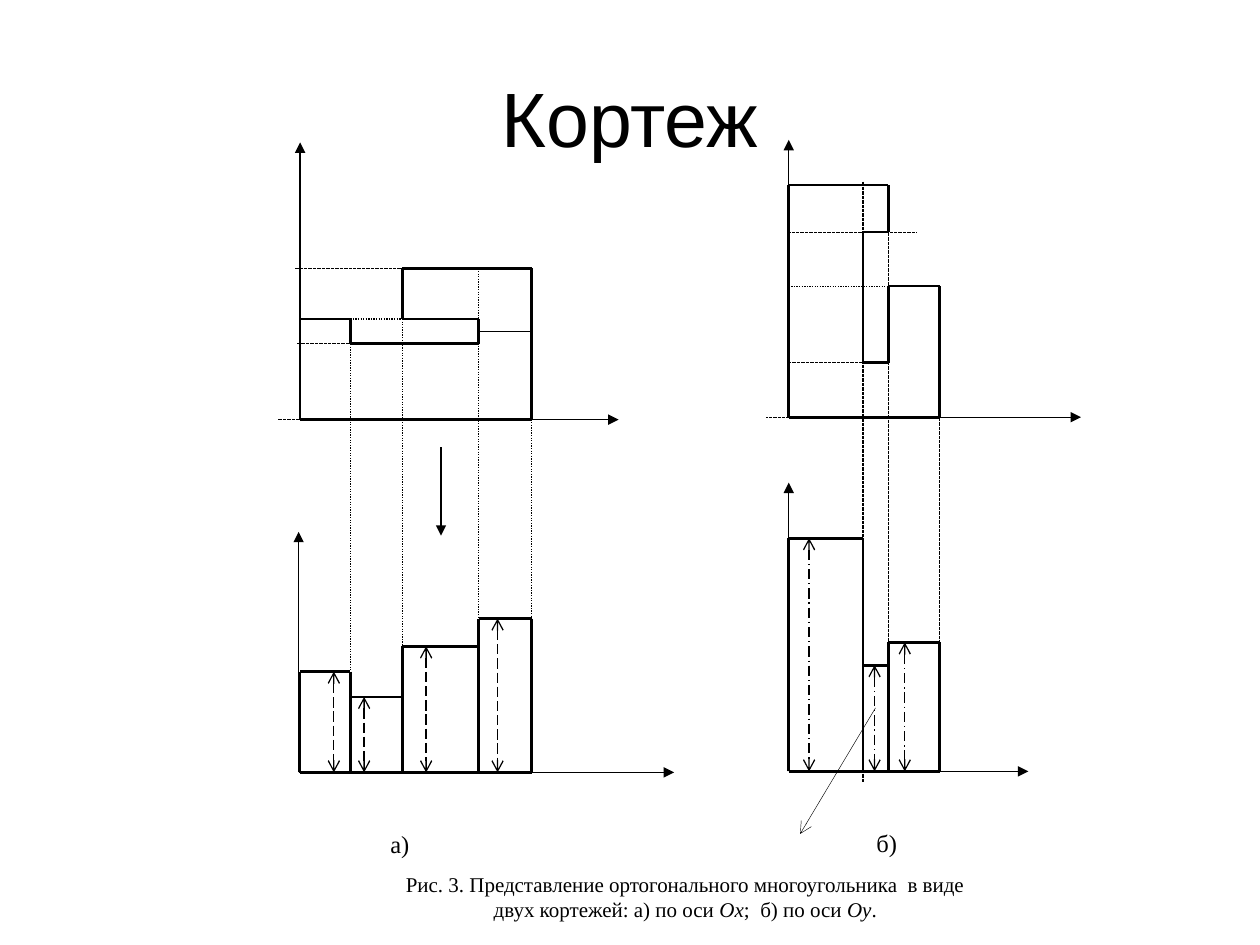
from itertools import pairwise

from lxml import etree
from pptx import Presentation
from pptx.dml.color import RGBColor
from pptx.enum.dml import MSO_LINE
from pptx.enum.shapes import MSO_CONNECTOR
from pptx.enum.text import MSO_ANCHOR, PP_ALIGN
from pptx.oxml.ns import qn
from pptx.util import Cm, Pt

STRAIGHT = MSO_CONNECTOR.STRAIGHT
DOTTED, DASHED, DASH_DOT = MSO_LINE.ROUND_DOT, MSO_LINE.LONG_DASH, MSO_LINE.LONG_DASH_DOT
MIDDLE, LEFT, CENTER = MSO_ANCHOR.MIDDLE, PP_ALIGN.LEFT, PP_ALIGN.CENTER
FINE = "fine dots"
BLACK = "000000"
SERIF = "Times New Roman"
THIN, BOLD = 0.75, 1.5

# Column edges and base lines of the two panels, in centimetres
LEFT_EDGES = [6.05, 7.06, 8.11, 9.65, 10.72]
LEFT_TOPS = [13.54, 14.05, 13.03, 12.47]
LEFT_BASE, LEFT_BAR_BASE = 8.46, 15.57
RIGHT_EDGES = [15.9, 17.4, 17.91, 18.94]
RIGHT_TOPS = [10.85, 13.41, 12.95]
RIGHT_BASE, RIGHT_BAR_BASE = 8.41, 15.55


def color(value):
    return RGBColor.from_string(value)


def add_line(page, start, end, width=THIN, dash=None, head=None, tail=None):
    line = page.shapes.add_connector(
        STRAIGHT, Cm(start[0]), Cm(start[1]), Cm(end[0]), Cm(end[1]))
    line.line.width = Pt(width)
    line.line.color.rgb = color(BLACK)
    properties = line.line._get_or_add_ln()
    if dash == FINE:
        pattern = etree.SubElement(properties, qn("a:custDash"))
        etree.SubElement(pattern, qn("a:ds"), d="50000", sp="50000")
    elif dash is not None:
        line.line.dash_style = dash
    for tag, kind in (("a:headEnd", head), ("a:tailEnd", tail)):
        if kind:
            etree.SubElement(properties, qn(tag), type=kind)
    etree.SubElement(line._element.spPr, qn("a:effectLst"))


def add_outline(page, points):
    for start, end in pairwise(points):
        add_line(page, start, end, BOLD)


def add_axes(page, origin, right, top):
    add_line(page, origin, (right, origin[1]), tail="triangle")
    add_line(page, origin, (origin[0], top), tail="triangle")


def add_bars(page, edges, tops, base, arrows, dash):
    """Draw adjoining bars, each with a double-headed height arrow."""
    add_line(page, (edges[0], base), (edges[-1], base), BOLD)
    for (left, right), top, arrow in zip(pairwise(edges), tops, arrows):
        add_outline(page, [(left, base), (left, top), (right, top), (right, base)])
        add_line(page, (arrow, top), (arrow, base), dash=dash, head="arrow", tail="arrow")


def add_text(page, box_at, paragraphs, size, align=LEFT):
    """Each paragraph is a list of (text, italic) pairs."""
    box = page.shapes.add_textbox(*map(Cm, box_at))
    frame = box.text_frame
    frame.word_wrap = True
    for index, spans in enumerate(paragraphs):
        para = frame.paragraphs[0] if index == 0 else frame.add_paragraph()
        para.alignment = align
        para.font.name = SERIF
        para.font.size = Pt(size)
        para.font.color.rgb = color(BLACK)
        for text, italic in spans:
            span = para.add_run()
            span.text = text
            if italic:
                span.font.italic = True


def set_title(page, text):
    title = page.shapes.title
    title.left, title.top, title.width, title.height = map(Cm, (1.27, 0.76, 22.86, 3.18))
    title.text_frame.text = text
    title.text_frame.vertical_anchor = MIDDLE
    para = title.text_frame.paragraphs[0]
    para.alignment = CENTER
    para.font.name = "Arial"
    para.font.size = Pt(44)
    para.font.color.rgb = color(BLACK)


def draw_left_panel(page):
    x0, x1, x2, x3, x4 = LEFT_EDGES
    upper, step, notch = 5.41, 6.43, 6.93
    for x, top, bottom in ((x1, 6.99, LEFT_TOPS[0]), (x2, 6.43, LEFT_TOPS[2]),
                           (x3, upper, LEFT_TOPS[3]), (x4, 8.51, LEFT_TOPS[3])):
        add_line(page, (x, top), (x, bottom), dash=DOTTED)
    add_line(page, (x1, step), (x2, step), dash=DOTTED)
    for right, left, y in ((x2, 5.94, upper), (x1, 5.97, notch), (x0, 5.59, LEFT_BASE)):
        add_line(page, (right, y), (left, y), dash=FINE)
    add_line(page, (x3, 6.68), (x4, 6.68))
    add_axes(page, (x0, LEFT_BASE), 12.47, 2.87)
    add_outline(page, [(x0, LEFT_BASE), (x0, step), (x1, step), (x1, notch), (x3, notch),
                       (x3, step), (x2, step), (x2, upper), (x4, upper),
                       (x4, LEFT_BASE), (x0, LEFT_BASE)])
    add_line(page, (8.89, 9.02), (8.89, 10.8), tail="triangle")
    add_axes(page, (6.02, LEFT_BAR_BASE), 13.59, 10.72)
    add_bars(page, LEFT_EDGES, LEFT_TOPS, LEFT_BAR_BASE, [6.73, 7.34, 8.59, 10.03], DASHED)
    add_text(page, (7.62, 16.59, 1.27, 1.02), [[("а)", False)]], 14)


def draw_right_panel(page):
    x0, x1, x2, x3 = RIGHT_EDGES
    upper, slot_top, step, slot_bottom = 3.73, 4.68, 5.77, 7.31
    for x, top, bottom in ((x1, 3.66, 15.77), (x2, upper, RIGHT_TOPS[1]),
                           (x3, step, RIGHT_TOPS[2])):
        add_line(page, (x, top), (x, bottom), dash=FINE)
    for right, left, y in ((18.47, x0, slot_top), (x1, x0, slot_bottom),
                           (x0, 15.44, RIGHT_BASE)):
        add_line(page, (right, y), (left, y), dash=FINE)
    add_line(page, (x0, step), (x3, step), dash=DOTTED)
    add_axes(page, (x0, RIGHT_BASE), 21.79, 2.82)
    add_outline(page, [(x0, RIGHT_BASE), (x0, upper), (x2, upper), (x2, slot_top),
                       (x1, slot_top), (x1, slot_bottom), (x2, slot_bottom), (x2, step),
                       (x3, step), (x3, RIGHT_BASE), (x0, RIGHT_BASE)])
    add_axes(page, (x0, RIGHT_BAR_BASE), 20.73, 9.73)
    add_bars(page, RIGHT_EDGES, RIGHT_TOPS, RIGHT_BAR_BASE, [16.31, 17.63, 18.24], DASH_DOT)
    add_line(page, (17.65, 14.27), (16.13, 16.81), width=0.25, tail="arrow")
    add_text(page, (17.42, 16.56, 1.27, 1.02), [[("б)", False)]], 14)


def main():
    deck = Presentation()
    deck.slide_width, deck.slide_height = Cm(25.4), Cm(19.05)
    page = deck.slides.add_slide(deck.slide_layouts.get_by_name("Title Only"))
    set_title(page, "Кортеж")
    draw_left_panel(page)
    draw_right_panel(page)
    caption = [
        [("Рис. 3. Представление ортогонального многоугольника  в виде", False)],
        [("двух кортежей: а) по оси ", False), ("Ох", True), (";  б) по оси ", False),
         ("Оу", True), (".", False)],
    ]
    add_text(page, (6.83, 17.45, 13.97, 1.57), caption, 12, CENTER)
    deck.save("out.pptx")


if __name__ == "__main__":
    main()
